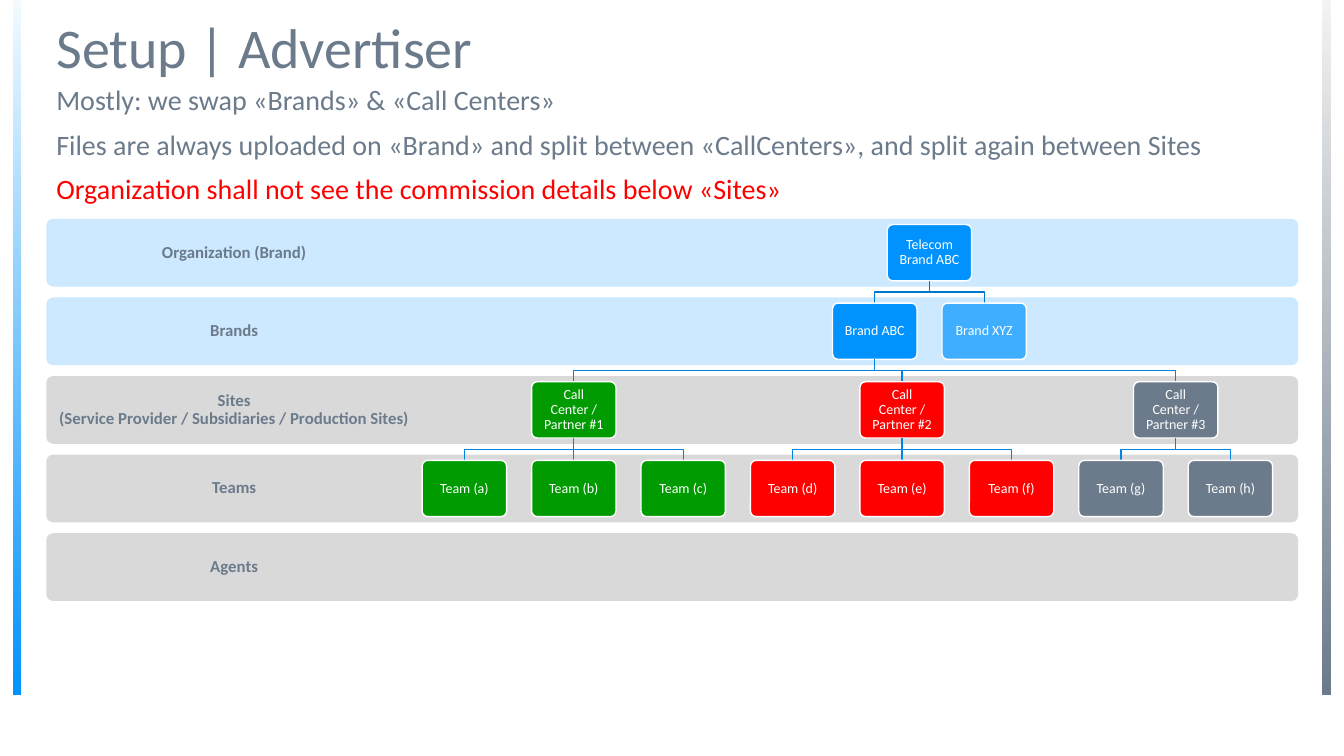
from lxml import etree
from pptx import Presentation
from pptx.dml.color import RGBColor
from pptx.enum.shapes import MSO_CONNECTOR, MSO_SHAPE
from pptx.enum.text import MSO_ANCHOR, PP_ALIGN
from pptx.oxml.ns import qn
from pptx.util import Pt

SLATE, RED, GREEN = "6B7B8B", "FF0000", "009B00"
BLUE, LIGHT_BLUE, WHITE = "0093FF", "40AEFF", "FFFFFF"
BRAND_EDGE, SITE_EDGE = "0076CC", "0085E7"
PALE_BLUE, GRAY = "CCE9FF", "D9D9D9"

CONTENT_LEFT, CONTENT_WIDTH = 33.1, 894.2
CHART_TOP, BAND_HEIGHT, BAND_PITCH = 156.3, 48.4, 56.15
LABEL_WIDTH = 268.3
NODE_WIDTH, NODE_HEIGHT, NODE_INSET = 60.3, 40.2, 4.1
FIRST_COLUMN, COLUMN_PITCH = 298.6, 78.17  # centre of the first team, from the chart's left

STATEMENTS = [
    ("Mostly: we swap «Brands» & «Call Centers»", SLATE),
    ("Files are always uploaded on «Brand» and split between «CallCenters», "
     "and split again between Sites", SLATE),
    ("Organization shall not see the commission details below «Sites»", RED),
]
BANDS = [
    (["Organization (Brand)"], PALE_BLUE),
    (["Brands"], PALE_BLUE),
    (["Sites", "(Service Provider / Subsidiaries / Production Sites)"], GRAY),
    (["Teams"], GRAY),
    (["Agents"], GRAY),
]


def site(number, color, first_column, letters):
    """A site centred over its teams, as (text, colour, column, children)."""
    teams = [(f"Team ({letter})", color, first_column + index, [])
             for index, letter in enumerate(letters)]
    return (f"Call Center / Partner #{number}", color,
            first_column + (len(letters) - 1) / 2, teams)


SITES = [site(1, GREEN, 0, "abc"), site(2, RED, 3, "def"), site(3, SLATE, 6, "gh")]
ORGANIZATION = ("Telecom Brand ABC", BLUE, 4.25, [
    ("Brand ABC", BLUE, 3.75, SITES),
    ("Brand XYZ", LIGHT_BLUE, 4.75, []),
])


def rgb(value):
    return RGBColor.from_string(value)


def write_text(shape, lines, size=12, color=SLATE, bold=False, align=PP_ALIGN.CENTER,
               anchor=MSO_ANCHOR.MIDDLE, inset=(7.2, 3.6), space_before=0):
    """Write one paragraph per line; a line is a text or a (text, colour) pair."""
    frame = shape.text_frame
    frame.word_wrap = True
    frame.vertical_anchor = anchor
    frame.margin_left = frame.margin_right = Pt(inset[0])
    frame.margin_top = frame.margin_bottom = Pt(inset[1])
    for index, line in enumerate(lines):
        text, line_color = (line, color) if isinstance(line, str) else line
        paragraph = frame.add_paragraph() if index else frame.paragraphs[0]
        paragraph.alignment = align
        paragraph.line_spacing = 0.9
        paragraph.space_before = Pt(space_before)
        paragraph.space_after = Pt(0)
        run = paragraph.add_run()
        run.text = text
        run.font.name = "Calibri"
        run.font.size = Pt(size)
        run.font.bold = bold
        run.font.color.rgb = rgb(line_color)


def add_box(slide, kind, left, top, width, height, fill=None, line=None):
    shape = slide.shapes.add_shape(kind, Pt(left), Pt(top), Pt(width), Pt(height))
    shape.shadow.inherit = False
    if kind == MSO_SHAPE.ROUNDED_RECTANGLE:
        shape.adjustments[0] = 0.1
    if fill:
        shape.fill.solid()
        shape.fill.fore_color.rgb = rgb(fill)
    if line:
        shape.line.color.rgb = rgb(line)
        shape.line.width = Pt(1)
    else:
        shape.line.fill.background()
    return shape


def add_side_bar(slide, left, top, width, height, start, end):
    bar = add_box(slide, MSO_SHAPE.RECTANGLE, left, top, width, height)
    bar.fill.gradient()
    bar.fill.gradient_angle = 270
    for stop, position, color in zip(bar.fill.gradient_stops, (0, 1), (start, end)):
        stop.position = position
        stop.color.rgb = rgb(color)


def add_heading(slide, left, top, width):
    # Title
    title = slide.shapes.title
    title.left, title.top, title.width, title.height = Pt(left), Pt(top), Pt(width), Pt(45.4)
    write_text(title, ["Setup | Advertiser"], size=40, align=PP_ALIGN.LEFT)
    # Statements
    body = slide.shapes.add_textbox(Pt(left), Pt(top + 45.4), Pt(width), Pt(94))
    write_text(body, STATEMENTS, size=20, align=PP_ALIGN.LEFT,
               anchor=MSO_ANCHOR.TOP, space_before=10)


def add_band(slide, left, top, width, lines, color):
    add_box(slide, MSO_SHAPE.ROUNDED_RECTANGLE, left, top, width, BAND_HEIGHT, color)
    label = slide.shapes.add_textbox(Pt(left), Pt(top), Pt(LABEL_WIDTH), Pt(BAND_HEIGHT))
    write_text(label, lines, bold=True, inset=(6.5, 6.5))


def add_edge(slide, start_x, start_y, end_x, end_y, color):
    if start_x == end_x:
        edge = slide.shapes.add_connector(
            MSO_CONNECTOR.STRAIGHT, Pt(start_x), Pt(start_y), Pt(end_x), Pt(end_y))
        etree.SubElement(edge.element.spPr, qn("a:effectLst"))
    else:
        middle = (start_y + end_y) / 2
        corners = [(start_x, middle), (end_x, middle), (end_x, end_y)]
        builder = slide.shapes.build_freeform(Pt(start_x), Pt(start_y))
        builder.add_line_segments([(Pt(x), Pt(y)) for x, y in corners], close=False)
        edge = builder.convert_to_shape()
        edge.shadow.inherit = False
        edge.fill.background()
    edge.line.color.rgb = rgb(color)
    edge.line.width = Pt(1)


def add_branch(slide, left, top, node, level=0):
    """Place a node, then its edges and children one band lower."""
    text, color, column, children = node
    center = left + FIRST_COLUMN + column * COLUMN_PITCH
    node_top = top + level * BAND_PITCH + NODE_INSET
    box = add_box(slide, MSO_SHAPE.ROUNDED_RECTANGLE, center - NODE_WIDTH / 2, node_top,
                  NODE_WIDTH, NODE_HEIGHT, color, WHITE)
    write_text(box, [text], size=10, color=WHITE, inset=(4, 4))
    for child in children:
        child_center = left + FIRST_COLUMN + child[2] * COLUMN_PITCH
        add_edge(slide, center, node_top + NODE_HEIGHT, child_center,
                 node_top + BAND_PITCH, SITE_EDGE if level else BRAND_EDGE)
        add_branch(slide, left, top, child, level + 1)


def add_hierarchy(slide, left, top, width):
    # Level bands
    for index, (lines, color) in enumerate(BANDS):
        add_band(slide, left, top + index * BAND_PITCH, width, lines, color)
    # Organization tree
    add_branch(slide, left, top, ORGANIZATION)


def main():
    presentation = Presentation()
    presentation.slide_width, presentation.slide_height = Pt(960), Pt(540)
    slide = presentation.slides.add_slide(presentation.slide_layouts[5])
    add_side_bar(slide, 9.4, 0, 5.8, 496.8, "F2FAFF", BLUE)
    add_side_bar(slide, 944.6, 0, 5.8, 496.8, "F2F2F2", SLATE)
    add_heading(slide, CONTENT_LEFT, 13, CONTENT_WIDTH)
    add_hierarchy(slide, CONTENT_LEFT, CHART_TOP, CONTENT_WIDTH)
    presentation.save("out.pptx")


if __name__ == "__main__":
    main()
